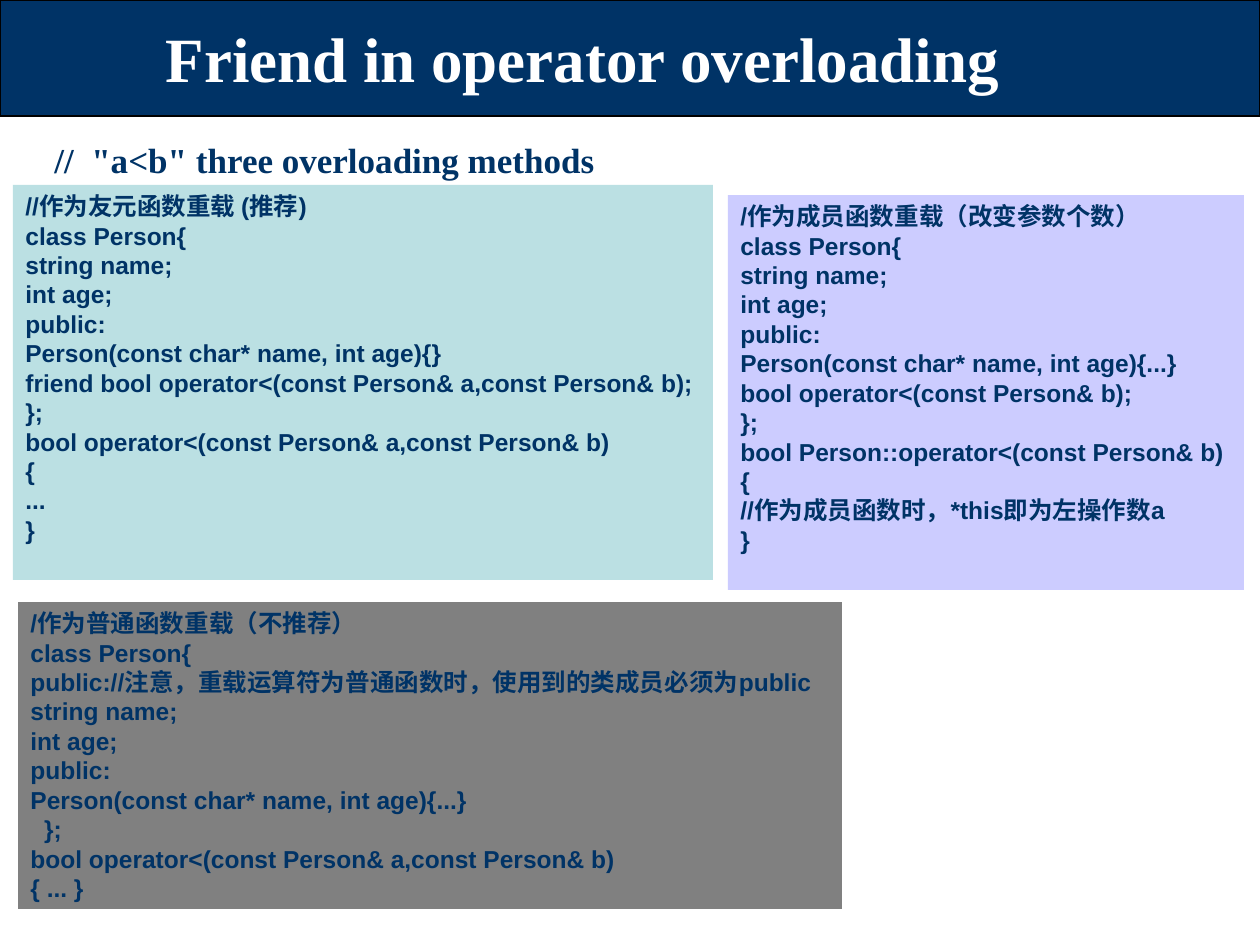
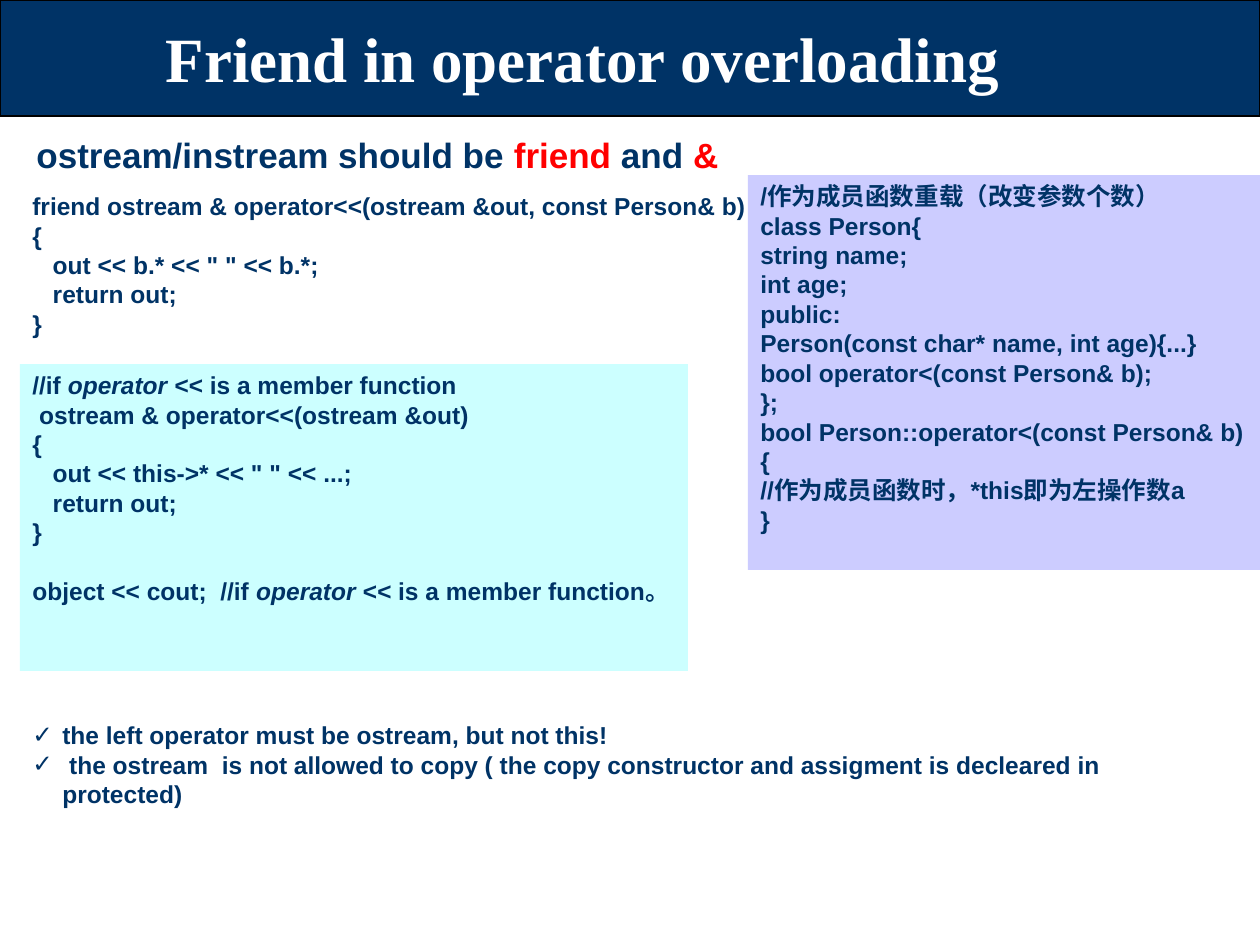
"""Build two slides on friend functions in operator overloading."""
from dataclasses import dataclass

from lxml import etree
from pptx import Presentation
from pptx import util as u
from pptx.dml.color import RGBColor
from pptx.enum import shapes, text
from pptx.oxml import ns

PX = 914400 / 126


@dataclass(frozen=True)
class Theme:
    """Colours, fonts and type sizes that the slides share."""
    navy: str = "003366"
    white: str = "FFFFFF"
    black: str = "000000"
    red: str = "FF0000"
    teal: str = "BBE0E3"
    lilac: str = "CCCCFF"
    grey: str = "808080"
    cyan: str = "CCFFFF"
    sans: str = "Arial"
    serif: str = "Times New Roman"
    title: int = 36
    heading: int = 20
    code: int = 14
    code_line: float = 16.8


T = Theme()
TITLE = "Friend in operator overloading"
FIELDS = ["string name;", "int age;", "public:"]
CONSTRUCTOR = "Person(const char* name, int age){...}"
FREE_OPERATOR = "bool operator<(const Person& a,const Person& b)"
ITALIC_OPERATOR = ("operator <<", {"italic": True})

FRIEND_CODE = [
    "//作为友元函数重载 (推荐)", "class Person{", *FIELDS,
    "Person(const char* name, int age){}",
    "friend bool operator<(const Person& a,const Person& b);", "};",
    FREE_OPERATOR, "{", "...", "}",
]
MEMBER_CODE = [
    "/作为成员函数重载（改变参数个数）", "class Person{", *FIELDS, CONSTRUCTOR,
    "bool operator<(const Person& b);", "};",
    "bool Person::operator<(const Person& b)", "{",
    "//作为成员函数时，*this即为左操作数a", "}",
]
PLAIN_CODE = [
    "/作为普通函数重载（不推荐）", "class Person{",
    "public://注意，重载运算符为普通函数时，使用到的类成员必须为public",
    *FIELDS, CONSTRUCTOR, "  };", FREE_OPERATOR, "{ ... }",
]
STREAM_FRIEND_CODE = [
    "friend ostream & operator<<(ostream &out, const Person& b)", "{",
    '   out << b.* << " " << b.*;', "   return out;", "}",
]
STREAM_MEMBER_CODE = [
    ["//if ", ITALIC_OPERATOR, " is a member function"],
    " ostream & operator<<(ostream &out)", "{",
    '   out << this->* << " " << ...;', "   return out;", "}",
]
STREAM_CALL = ["object << cout;  //if ", ITALIC_OPERATOR, " is a member function。"]
STREAM_NOTES = [
    "the left operator must be ostream, but not this!",
    " the ostream  is not allowed to copy ( the copy constructor"
    " and assigment is decleared in protected)",
]


def px(n):
    """Turn pixels into EMU."""
    return u.Emu(round(n * PX))


def rgb(colour):
    """Return a colour object for a hex string."""
    return RGBColor.from_string(colour)


def write(p, pieces, size, font=T.sans, colour=T.navy):
    """Fill a paragraph with bold runs; a piece is text or (text, changes)."""
    for piece in [pieces] if isinstance(pieces, str) else pieces:
        words, changes = (piece, {}) if isinstance(piece, str) else piece
        r = p.add_run()
        r.text = words
        r.font.size, r.font.name, r.font.bold = u.Pt(size), font, True
        r.font.italic = changes.get("italic", False)
        r.font.color.rgb = rgb(changes.get("colour", colour))


def write_lines(tf, lines):
    """Write code lines with even line spacing and return the paragraphs."""
    tf.word_wrap = True
    tf.vertical_anchor = text.MSO_ANCHOR.TOP
    paragraphs = []
    for line in lines:
        p = tf.add_paragraph() if paragraphs else tf.paragraphs[0]
        p.alignment = text.PP_ALIGN.LEFT
        p.line_spacing = u.Pt(T.code_line)
        write(p, line, T.code)
        paragraphs.append(p)
    return paragraphs


def add_rect(s, box, fill):
    """Add a filled rectangle without line or shadow."""
    sp = s.shapes.add_shape(shapes.MSO_SHAPE.RECTANGLE, *map(px, box))
    sp.shadow.inherit = False
    sp.fill.solid()
    sp.fill.fore_color.rgb = rgb(fill)
    sp.line.fill.background()
    return sp


def add_code(s, box, fill, lines):
    """Add a coloured panel of code."""
    return write_lines(add_rect(s, box, fill).text_frame, lines)


def add_text(s, box):
    """Add a text box and return its frame."""
    tf = s.shapes.add_textbox(*map(px, box)).text_frame
    tf.word_wrap = True
    return tf


def add_heading(s, box, pieces, font):
    """Add the heading line under the title band."""
    write(add_text(s, box).paragraphs[0], pieces, T.heading, font)


def add_checks(s, box, lines):
    """Add a list with check marks and a hanging indent."""
    for p in write_lines(add_text(s, box), lines):
        pPr = p._p.get_or_add_pPr()
        pPr.set("marL", str(px(30)))
        pPr.set("indent", str(-px(30)))
        colour = etree.SubElement(pPr, ns.qn("a:buClr"))
        etree.SubElement(colour, ns.qn("a:srgbClr"), val=T.navy)
        etree.SubElement(pPr, ns.qn("a:buFont"), typeface=T.sans)
        etree.SubElement(pPr, ns.qn("a:buChar"), char="✓")


def add_slide(prs):
    """Add a title-only slide with the shared title."""
    s = prs.slides.add_slide(prs.slide_layouts[5])
    sp = s.shapes.title
    sp.left, sp.top, sp.width, sp.height = map(px, (31, 10, 1103, 95))
    tf = sp.text_frame
    tf.vertical_anchor = text.MSO_ANCHOR.MIDDLE
    p = tf.paragraphs[0]
    p.alignment = text.PP_ALIGN.CENTER
    write(p, TITLE, T.title, T.serif, T.white)
    return s


def add_layout_band(s):
    """Draw the title band and hand it to the layout that all slides use."""
    band = add_rect(s, (0, 0, 1260, 116), T.navy)
    band.line.color.rgb = rgb(T.black)
    band.line.width = u.Pt(0.75)
    s.slide_layout.shapes.element.insert(2, band.element)


def build_comparison(s):
    """Show the three ways to overload a comparison."""
    add_heading(s, (42, 132, 1187, 50), '//  "a<b" three overloading methods', T.serif)
    add_code(s, (728, 195, 516, 395), T.lilac, MEMBER_CODE)
    add_code(s, (13, 185, 700, 395), T.teal, FRIEND_CODE)
    add_code(s, (18, 602, 824, 307), T.grey, PLAIN_CODE)


def build_streams(s):
    """Show why stream operators are friends."""
    add_heading(s, (24, 127, 715, 55), [
        "ostream/instream should be ", ("friend", {"colour": T.red}),
        " and ", ("&", {"colour": T.red})], T.sans)
    write_lines(add_text(s, (20, 185, 745, 160)), STREAM_FRIEND_CODE)
    add_code(s, (748, 175, 516, 395), T.lilac, MEMBER_CODE)
    *_, call = add_code(s, (20, 364, 668, 307), T.cyan, [*STREAM_MEMBER_CODE, STREAM_CALL])
    call.space_before = u.Pt(T.code_line)
    add_checks(s, (20, 714, 1211, 101), STREAM_NOTES)


def main():
    """Build and save the presentation."""
    prs = Presentation()
    prs.slide_width, prs.slide_height = px(1260), px(945)
    comparison = add_slide(prs)
    add_layout_band(comparison)
    build_comparison(comparison)
    build_streams(add_slide(prs))
    prs.save("out.pptx")


if __name__ == "__main__":
    main()
